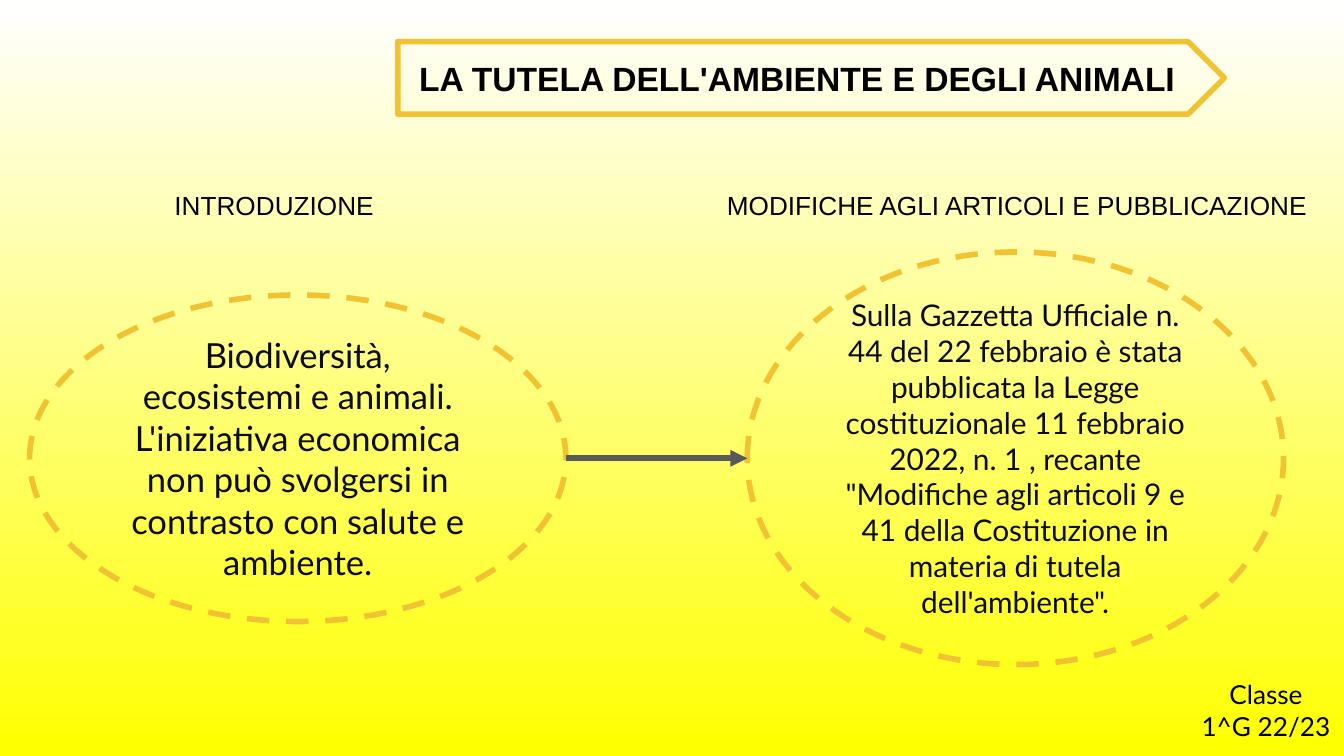
from lxml.etree import SubElement as Sub
from pptx import Presentation
from pptx.dml.color import RGBColor
from pptx.enum.dml import MSO_LINE as Dash
from pptx.enum.shapes import MSO_CONNECTOR as Link, MSO_SHAPE as Form
from pptx.enum.text import MSO_ANCHOR as Anchor, PP_ALIGN as Align
from pptx.oxml.ns import qn
from pptx.util import Inches, Pt

TITLE = "LA TUTELA DELL'AMBIENTE E DEGLI ANIMALI "
BANNER = (2.96, 0.31, 6.15, 0.54)
HEADS = [
    ("INTRODUZIONE", 1.2, 1.86),
    ("MODIFICHE AGLI ARTICOLI E PUBBLICAZIONE", 5.31, 4.69),
]
OVALS = [
    ("Biodiversità, ecosistemi e animali. L'iniziativa economica non può "
     "svolgersi in contrasto con salute e ambiente.", 0.22, 2.43, 18.5),
    ("Sulla Gazzetta Ufficiale n. 44 del 22 febbraio è stata pubblicata la "
     "Legge costituzionale 11 febbraio 2022, n. 1 , recante \"Modifiche agli "
     "articoli 9 e 41 della Costituzione in materia di tutela "
     "dell'ambiente\".", 5.56, 3.07, 16),
]
CLASS = "Classe 1^G 22/23"
WIDE, MID = 3.99, 3.41
GOLD, GREY, INK, BLACK = "F1C232", "595959", "0C0C0F", "000000"


def paint(color, code):
    color.rgb = RGBColor.from_string(code)


def write(shape, text, size=14, face="Arial", color=BLACK, bold=False,
          align=Align.CENTER, anchor=Anchor.MIDDLE):
    frame = shape.text_frame
    frame.word_wrap = True
    frame.vertical_anchor = anchor
    frame.margin_left = frame.margin_right = Inches(0.1)
    frame.margin_top = frame.margin_bottom = Inches(0.1)
    para = frame.paragraphs[0]
    para.alignment = align
    run = para.add_run()
    run.text = text
    run.font.size = Pt(size)
    run.font.name = face
    run.font.bold = bold
    paint(run.font.color, color)


def outline(form, box):
    shape = slide.shapes.add_shape(form, *map(Inches, box))
    shape.shadow.inherit = False
    shape.fill.background()
    paint(shape.line.color, GOLD)
    shape.line.width = Pt(3)
    return shape


def label(box, text, **style):
    shape = slide.shapes.add_textbox(*map(Inches, box))
    write(shape, text, anchor=Anchor.TOP, **style)


deck = Presentation()
deck.slide_width = Inches(10)
deck.slide_height = deck.slide_width * 9 // 16
slide = deck.slides.add_slide(deck.slide_layouts[5])

back = slide.background.fill
back.gradient()
back.gradient_angle = 270
for stop, code, place in zip(back.gradient_stops, ("FFFFFF", "FFFF00"), (0, 1)):
    paint(stop.color, code)
    stop.position = place

outline(Form.PENTAGON, BANNER)
left, top, width, height = BANNER
title = slide.shapes.title
title.left, title.top = Inches(left), Inches(top)
title.width, title.height = Inches(width - height / 4), Inches(height)
write(title, TITLE, size=18, bold=True)

for text, left, width in HEADS:
    label((left, 1.31, width, 0.44), text, align=Align.LEFT)

for text, left, height, size in OVALS:
    oval = outline(Form.OVAL, (left, MID - height / 2, WIDE, height))
    oval.line.dash_style = Dash.DASH
    write(oval, text, size=size, face="Lato", color=INK)

start, end = OVALS[0][1] + WIDE, OVALS[1][1]
arrow = slide.shapes.add_connector(
    Link.STRAIGHT, *map(Inches, (start, MID, end, MID)))
paint(arrow.line.color, GREY)
arrow.line.width = Pt(3)
Sub(arrow.line._get_or_add_ln(), qn("a:tailEnd"), type="triangle")
Sub(arrow._element.spPr, qn("a:effectLst"))

label((8.84, 4.95, 1.16, 0.67), CLASS, face="Lato")

deck.save("out.pptx")
